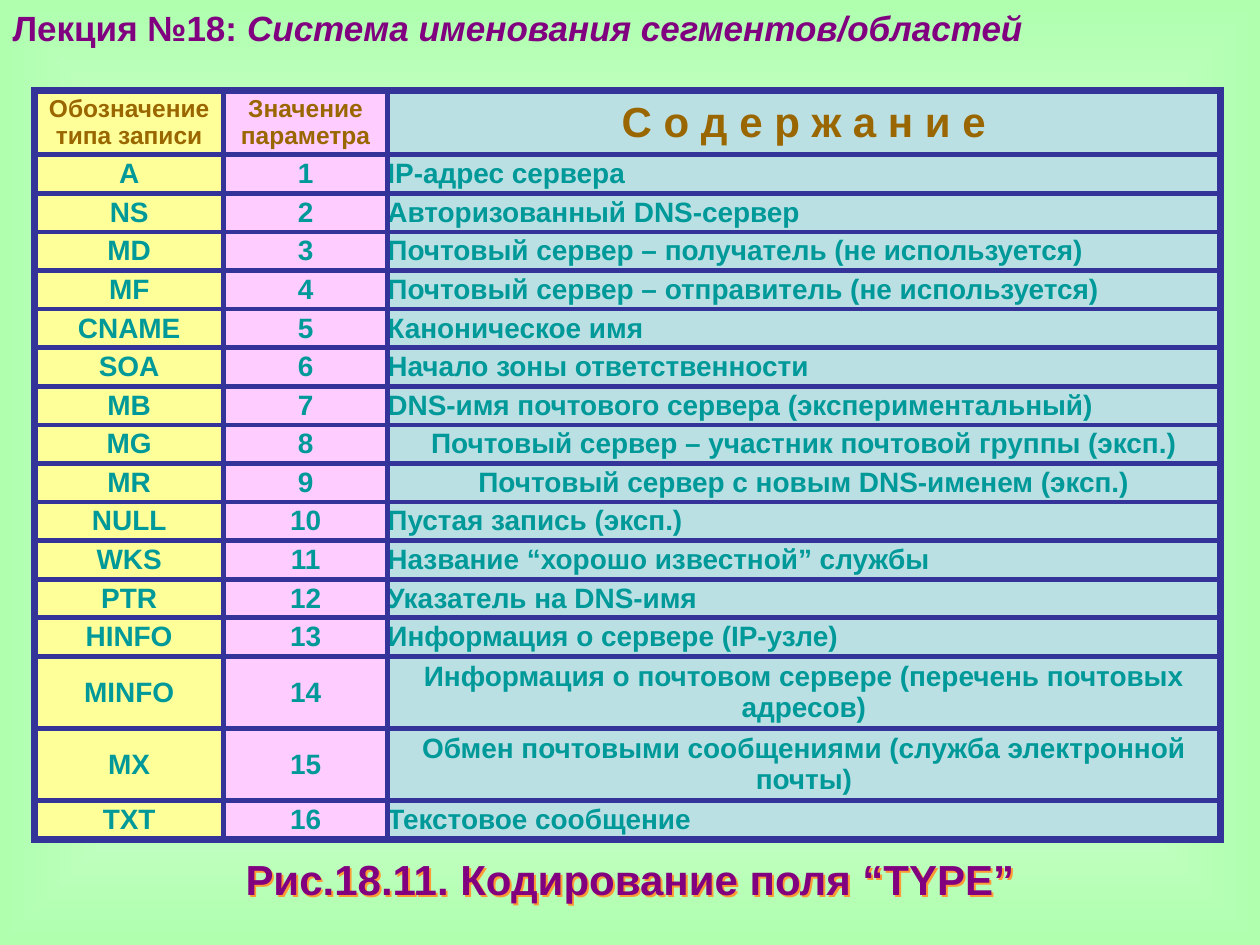
from dataclasses import dataclass

from lxml.etree import SubElement
from pptx import Presentation
from pptx.dml.color import RGBColor
from pptx.enum.text import MSO_ANCHOR, MSO_AUTO_SIZE, PP_ALIGN
from pptx.oxml import parse_xml
from pptx.oxml.ns import nsdecls, qn
from pptx.util import Pt


@dataclass(frozen=True)
class Theme:
    """Colours, font and type sizes of the slide."""
    font: str = "Arial"
    heading: str = "800080"
    header: str = "996600"
    body: str = "009999"
    border: str = "333399"
    shadow: str = "FF9933"
    bg_center: str = "FFFFFF"
    bg_edge: str = "AFFFAF"
    columns: tuple = ("FFFF99", "FFCCFF", "BBE0E3")
    title_size: float = 20
    header_sizes: tuple = (14, 14, 24)
    body_size: float = 16
    caption_size: float = 24
    outer_line: float = 4.5
    inner_line: float = 3


THEME = Theme()
COLUMN_WIDTHS = (108, 93.6, 475.9)
HEADER_HEIGHT, ROW_HEIGHT, TALL_HEIGHT = 36.8, 22.06, 41.2
HEADERS = ("Обозначение типа записи", "Значение параметра", "С о д е р ж а н и е")
RECORDS = (
    ("A", "IP-адрес сервера"),
    ("NS", "Авторизованный DNS-сервер"),
    ("MD", "Почтовый сервер – получатель (не используется)"),
    ("MF", "Почтовый сервер – отправитель (не используется)"),
    ("CNAME", "Каноническое имя"),
    ("SOA", "Начало зоны ответственности"),
    ("MB", "DNS-имя почтового сервера (экспериментальный)"),
    ("MG", "Почтовый сервер – участник почтовой группы (эксп.)"),
    ("MR", "Почтовый сервер с новым DNS-именем (эксп.)"),
    ("NULL", "Пустая запись (эксп.)"),
    ("WKS", "Название “хорошо известной” службы"),
    ("PTR", "Указатель на DNS-имя"),
    ("HINFO", "Информация о сервере (IP-узле)"),
    ("MINFO", "Информация о почтовом сервере (перечень почтовых адресов)"),
    ("MX", "Обмен почтовыми сообщениями (служба электронной почты)"),
    ("TXT", "Текстовое сообщение"),
)
CENTERED = {"MG", "MR", "MINFO", "MX"}
TALL = {"MINFO", "MX"}


def add_text(p, text, size, color, italic=False, align=PP_ALIGN.LEFT):
    """Add a bold formatted run to a paragraph."""
    p.alignment = align
    r = p.add_run()
    r.text = text
    r.font.name = THEME.font
    r.font.size = Pt(size)
    r.font.bold = True
    r.font.italic = italic
    r.font.color.rgb = RGBColor.from_string(color)


def set_background(slide):
    """Fill the background with a gradient from the centre to the edges."""
    fill = slide.background.fill
    fill.gradient()
    for stop, color in zip(fill.gradient_stops, (THEME.bg_center, THEME.bg_edge)):
        stop.color.rgb = RGBColor.from_string(color)
    grad = next(slide.background._cSld.iter(qn("a:gradFill")))
    grad.remove(grad.find(qn("a:lin")))
    shade = SubElement(grad, qn("a:path"), {"path": "shape"})
    SubElement(shade, qn("a:fillToRect"), dict.fromkeys("ltrb", "50000"))


def set_borders(cell, widths):
    """Draw the left, right, top and bottom borders of a cell."""
    tc_pr = cell._tc.get_or_add_tcPr()
    for i, (side, width) in enumerate(zip("LRTB", widths)):
        tc_pr.insert(i, parse_xml(
            f'<a:ln{side} {nsdecls("a")} w="{Pt(width)}"><a:solidFill>'
            f'<a:srgbClr val="{THEME.border}"/></a:solidFill></a:ln{side}>'))


def add_title(slide, left, top, width, height):
    """Place the lecture title."""
    sp = slide.shapes.title
    sp.left, sp.top, sp.width, sp.height = Pt(left), Pt(top), Pt(width), Pt(height)
    tf = sp.text_frame
    tf.word_wrap = True
    tf.auto_size = MSO_AUTO_SIZE.SHAPE_TO_FIT_TEXT
    tf.vertical_anchor = MSO_ANCHOR.TOP
    p = tf.paragraphs[0]
    add_text(p, "Лекция №18: ", THEME.title_size, THEME.heading)
    add_text(p, "Система именования сегментов/областей", THEME.title_size,
             THEME.heading, italic=True)


def fill_cell(cell, text, size, color, fill, align):
    """Write the text of a table cell and colour its ground."""
    cell.margin_left = cell.margin_right = 0
    cell.margin_top = cell.margin_bottom = Pt(1.44)
    cell.vertical_anchor = MSO_ANCHOR.MIDDLE
    cell.fill.solid()
    cell.fill.fore_color.rgb = RGBColor.from_string(fill)
    add_text(cell.text_frame.paragraphs[0], text, size, color, align=align)


def add_record_table(slide, left, top, width, height):
    """Place the table of record types."""
    rows = [HEADERS] + [(name, str(i), content)
                        for i, (name, content) in enumerate(RECORDS, 1)]
    table = slide.shapes.add_table(len(rows), len(HEADERS), Pt(left), Pt(top),
                                   Pt(width), Pt(height)).table
    table.first_row = table.horz_banding = False
    for column, column_width in zip(table.columns, COLUMN_WIDTHS):
        column.width = Pt(column_width)
    last_row, last_col = len(rows) - 1, len(HEADERS) - 1
    for i, row in enumerate(rows):
        tall = TALL_HEIGHT if row[0] in TALL else ROW_HEIGHT
        table.rows[i].height = Pt(tall if i else HEADER_HEIGHT)
        for j, text in enumerate(row):
            cell = table.cell(i, j)
            centered = i == 0 or j < last_col or row[0] in CENTERED
            fill_cell(cell, text,
                      THEME.body_size if i else THEME.header_sizes[j],
                      THEME.body if i else THEME.header, THEME.columns[j],
                      PP_ALIGN.CENTER if centered else PP_ALIGN.LEFT)
            edges = (j == 0, j == last_col, i == 0, i == last_row)
            set_borders(cell, [THEME.outer_line if edge else THEME.inner_line
                               for edge in edges])


def add_caption(slide, left, top, width, height):
    """Place the shadowed figure caption."""
    sp = slide.shapes.add_textbox(Pt(left), Pt(top), Pt(width), Pt(height))
    tf = sp.text_frame
    tf.word_wrap = True
    tf.auto_size = MSO_AUTO_SIZE.SHAPE_TO_FIT_TEXT
    tf.vertical_anchor = MSO_ANCHOR.MIDDLE
    tf.margin_left = tf.margin_right = tf.margin_top = tf.margin_bottom = 0
    p = tf.paragraphs[0]
    p.line_spacing = 0.9
    add_text(p, "Рис.18.11. Кодирование поля “TYPE”", THEME.caption_size,
             THEME.heading, align=PP_ALIGN.CENTER)
    effects = SubElement(sp._element.spPr, qn("a:effectLst"))
    shadow = SubElement(effects, qn("a:outerShdw"),
                        {"dist": str(Pt(1.6)), "dir": "2700000", "algn": "ctr",
                         "rotWithShape": "0"})
    SubElement(shadow, qn("a:srgbClr"), {"val": THEME.shadow})


def main():
    """Build and save the slide."""
    prs = Presentation()
    prs.slide_width, prs.slide_height = Pt(720), Pt(540)
    slide = prs.slides.add_slide(prs.slide_layouts[5])
    set_background(slide)
    add_title(slide, 0, 0, 720, 31)
    add_record_table(slide, 19.8, 51.6, 677.5, 428)
    add_caption(slide, 0, 491, 720, 26)
    prs.save("out.pptx")


if __name__ == "__main__":
    main()
